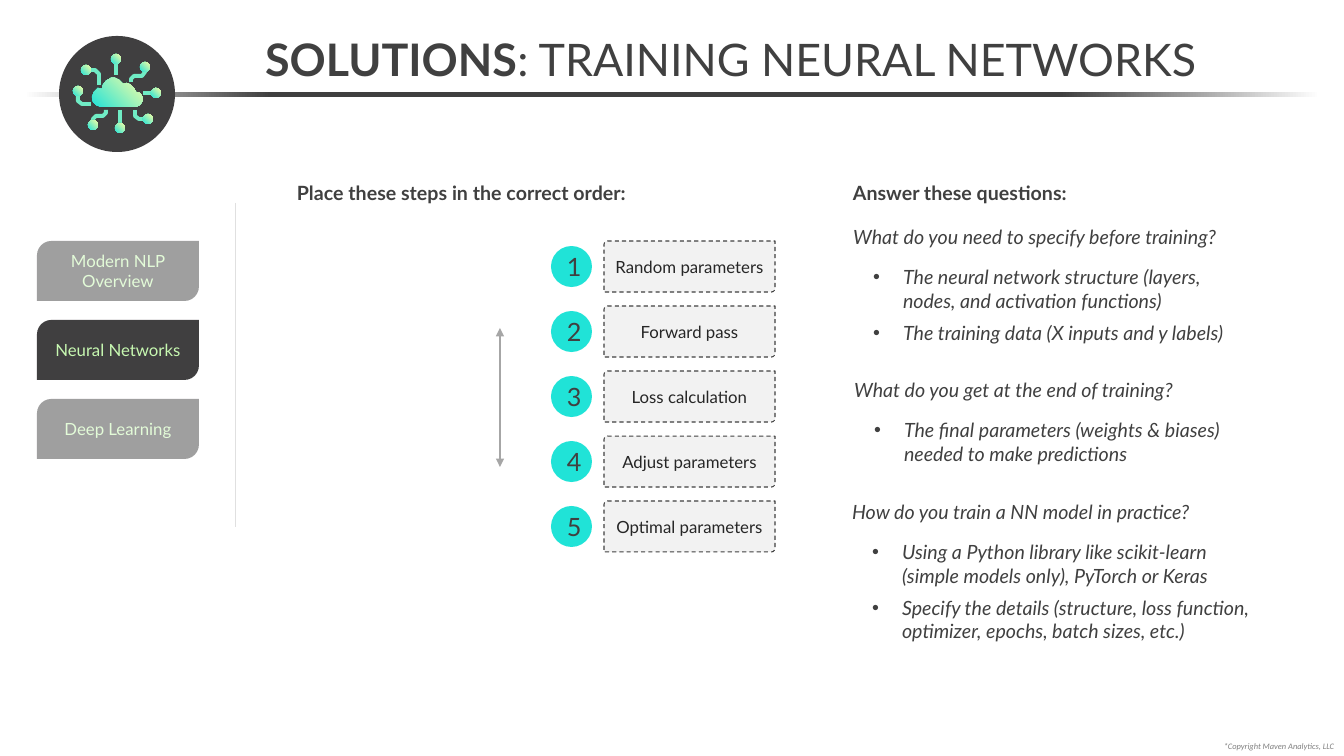
from dataclasses import dataclass

from lxml import etree
from pptx import Presentation
from pptx import util as u
from pptx.dml import color
from pptx.enum import dml, shapes, text
from pptx.oxml import ns

SCALE = 914400 / 100.8


def px(length):
    return u.Emu(round(length * SCALE))


def rgb(value):
    return color.RGBColor.from_string(value)


def assign(target, values):
    for name, value in values.items():
        setattr(target, name, value)


def add_element(parent, tag, **attributes):
    return etree.SubElement(parent, ns.qn(tag), attributes)


@dataclass(frozen=True)
class Theme:
    font: str = "Lato"
    small_font: str = "Calibri"
    ink: str = "404040"
    label: str = "262626"
    dark: str = "403F40"
    muted: str = "7F7F7F"
    panel: str = "F2F2F2"
    accent: str = "20E3D7"
    icon_line: str = "70ECC5"
    arrow: str = "A6A6A6"
    divider: str = "E0E0E0"
    white: str = "FFFFFF"
    bar: tuple = ((0, "FFFFFF"), (19, "3F3F3F"), (50, "3F3F3F"), (80, "3F3F3F"), (100, "FFFFFF"))
    icon: tuple = ((0, "22E2D8"), (75, "C2F7B2"), (100, "F4FEA6"))
    glow: tuple = ((0, "20E2D7"), (75, "C7F8B1"), (100, "F9FEA5"))
    title_size: int = 32
    number_size: int = 18
    body_size: int = 14
    label_size: int = 12
    small_size: int = 6


class SlideBuilder:
    def __init__(self, slide, theme):
        self.slide = slide
        self.theme = theme

    def paint(self, fill, element, paint, angle=0):
        if paint is None:
            fill.background()
        elif isinstance(paint, str):
            fill.solid()
            fill.fore_color.rgb = rgb(paint)
        else:
            fill.gradient()
            fill.gradient_angle = angle
            stops = element.xpath(".//a:gsLst")[0]
            for stop in list(stops):
                stops.remove(stop)
            for position, value in paint:
                stop = add_element(stops, "a:gs", pos=str(position * 1000))
                add_element(stop, "a:srgbClr", val=value)

    def style(self, shape, fill, angle=0, line=None, width=0.75, dash=None):
        shape.shadow.inherit = False
        self.paint(shape.fill, shape._element, fill, angle)
        if line:
            shape.line.color.rgb = rgb(line)
            assign(shape.line, {"width": u.Pt(width), "dash_style": dash})
        else:
            shape.line.fill.background()
        return shape

    def shape(self, kind, box, fill, corner=None, **format_values):
        shape = self.slide.shapes.add_shape(kind, *map(px, box))
        if corner is not None:
            shape.adjustments[0] = corner
        return self.style(shape, fill, **format_values)

    def outline(self, points, closed, fill, **format_values):
        builder = self.slide.shapes.build_freeform(*points[0], scale=SCALE)
        builder.add_line_segments(points[1:], close=closed)
        return self.style(builder.convert_to_shape(), fill, **format_values)

    def line(self, start, end, line_color, width, arrows=False):
        connector = self.slide.shapes.add_connector(
            shapes.MSO_CONNECTOR.STRAIGHT, *map(px, start + end))
        connector.line.color.rgb = rgb(line_color)
        connector.line.width = u.Pt(width)
        properties = connector._element.spPr
        if arrows:
            for tag in ("a:headEnd", "a:tailEnd"):
                add_element(properties.find(ns.qn("a:ln")), tag, type="triangle")
        add_element(properties, "a:effectLst")

    def frame(self, shape, anchor=text.MSO_ANCHOR.TOP):
        assign(shape.text_frame, {
            "word_wrap": True, "auto_size": text.MSO_AUTO_SIZE.NONE, "vertical_anchor": anchor,
            "margin_left": u.Inches(0.1), "margin_right": u.Inches(0.1),
            "margin_top": u.Inches(0.05), "margin_bottom": u.Inches(0.05)})
        return shape.text_frame

    def add_words(self, paragraph, words, size, fill, align=text.PP_ALIGN.LEFT, after=0,
                  **font_values):
        assign(paragraph, {"alignment": align, "space_before": u.Pt(0),
                           "space_after": u.Pt(after), "line_spacing": 1.0})
        run = paragraph.add_run()
        run.text = words
        values = {"name": self.theme.font, "size": u.Pt(size), "bold": False, "italic": False}
        assign(run.font, values | font_values)
        self.paint(run.font.fill, run._r, fill)

    def label(self, shape, words, size, fill):
        frame = self.frame(shape, text.MSO_ANCHOR.MIDDLE)
        self.add_words(frame.paragraphs[0], words, size, fill, text.PP_ALIGN.CENTER)

    def text(self, box, words, size, fill, **format_values):
        frame = self.frame(self.slide.shapes.add_textbox(*map(px, box)))
        self.add_words(frame.paragraphs[0], words, size, fill, **format_values)

    def place(self, index, box):
        shape = self.slide.placeholders[index]
        assign(shape, dict(zip(("left", "top", "width", "height"), map(px, box))))
        return shape

    def title(self, box, strong, rest):
        frame = self.frame(self.place(0, box), text.MSO_ANCHOR.MIDDLE)
        for words, bold in ((strong, True), (rest, False)):
            self.add_words(frame.paragraphs[0], words, self.theme.title_size, self.theme.ink,
                           text.PP_ALIGN.CENTER, bold=bold)

    def answers(self, index, box, question, bullets):
        frame = self.frame(self.place(index, box))
        for position, words in enumerate([question] + bullets):
            paragraph = frame.add_paragraph() if position else frame.paragraphs[0]
            properties = paragraph._p.get_or_add_pPr()
            properties.set("marL", str(px(50) if position else 0))
            properties.set("indent", str(px(-30) if position else 0))
            if position:
                paragraph.level = 1
                add_element(properties, "a:buFont", typeface="Arial")
                add_element(properties, "a:buChar", char="•")
            else:
                add_element(properties, "a:buNone")
            self.add_words(paragraph, words, self.theme.body_size, self.theme.ink,
                           after=6 if position else 12, italic=True)

    def network_icon(self, cloud, branches):
        for branch in branches:
            self.outline(branch, False, None, line=self.theme.icon_line, width=2.8)
            x, y = branch[0]
            self.shape(shapes.MSO_SHAPE.OVAL, (x - 5, y - 5, 10, 10), self.theme.icon, angle=45)
        self.outline(cloud, True, self.theme.icon, angle=45)

    def section(self, top, words):
        shape = self.shape(shapes.MSO_SHAPE.ROUND_2_DIAG_RECTANGLE, (37, top, 162, 60),
                           self.theme.dark, corner=0.24)
        self.label(shape, words, self.theme.label_size, self.theme.glow)

    def step(self, top, number, words):
        box = self.shape(shapes.MSO_SHAPE.ROUND_2_DIAG_RECTANGLE, (604, top, 171, 51),
                         self.theme.panel, corner=0.07, line=self.theme.ink,
                         dash=dml.MSO_LINE.DASH)
        self.label(box, words, self.theme.label_size, self.theme.label)
        circle = self.shape(shapes.MSO_SHAPE.OVAL, (551, top + 5, 41, 41), self.theme.accent)
        self.label(circle, str(number), self.theme.number_size, self.theme.ink)


CLOUD = [(136, 92), (134, 88), (131, 85), (127, 83), (123, 84), (119, 80), (115, 78), (111, 78),
         (106, 81), (103, 85), (102, 89), (98, 88), (94, 92), (92, 97), (93, 102), (96, 105),
         (101, 107), (136, 107), (140, 105), (143, 100), (142, 96), (140, 93)]
BRANCHES = [
    [(86, 70), (95, 70), (99, 74), (99, 85)],
    [(78, 91), (78, 101), (82, 104), (91, 104)],
    [(116, 59), (116, 75)],
    [(145, 67), (145, 72), (142, 76), (134, 76), (131, 79), (131, 82)],
    [(93, 125), (93, 119), (96, 116), (103, 116), (106, 113), (106, 110)],
    [(156, 93), (143, 93)],
    [(148, 119), (139, 119), (135, 116), (135, 110)],
    [(120, 128), (120, 110)],
]
STEPS = ["Random parameters", "Forward pass", "Loss calculation", "Adjust parameters",
         "Optimal parameters"]
SECTIONS = ["Modern NLP Overview", "Neural Networks", "Deep Learning"]
ACTIVE = 1
ANSWERS = [
    ((843, 220, 424, 131), "What do you need to specify before training?",
     ["The neural network structure (layers, nodes, and activation functions)",
      "The training data (X inputs and y labels)"]),
    ((844, 373, 424, 99), "What do you get at the end of training?",
     ["The final parameters (weights & biases) needed to make predictions"]),
    ((842, 495, 424, 154), "How do you train a NN model in practice?",
     ["Using a Python library like scikit-learn (simple models only), PyTorch or Keras",
      "Specify the details (structure, loss function, optimizer, epochs, batch sizes, etc.)"]),
]


def main():
    presentation = Presentation()
    assign(presentation, {"slide_width": px(1344), "slide_height": px(756)})
    slide = presentation.slides.add_slide(presentation.slide_layouts[4])
    theme = Theme()
    builder = SlideBuilder(slide, theme)
    builder.title((118, 26, 1226, 65), "SOLUTIONS", ": TRAINING NEURAL NETWORKS")
    builder.shape(shapes.MSO_SHAPE.RECTANGLE, (24, 92, 1296, 5), theme.bar)
    builder.text((1203, 736, 141, 20), "*Copyright Maven Analytics, LLC", theme.small_size,
                 theme.muted, align=text.PP_ALIGN.RIGHT, name=theme.small_font, italic=True)
    builder.shape(shapes.MSO_SHAPE.OVAL, (59, 36, 116, 116), theme.dark)
    builder.network_icon(CLOUD, BRANCHES)
    for left, width, words in ((287, 549, "Place these steps in the correct order:"),
                               (843, 360, "Answer these questions:")):
        builder.text((left, 176, width, 34), words, theme.body_size, theme.ink, bold=True)
    for index, step in enumerate(STEPS):
        builder.step(241 + 65 * index, index + 1, step)
    builder.line((500, 328), (500, 467), theme.arrow, 1, arrows=True)
    for index, (box, question, bullets) in enumerate(ANSWERS, 1):
        builder.answers(index, box, question, bullets)
    unused = slide.placeholders[4]._element
    unused.getparent().remove(unused)
    builder.line((236, 203), (236, 527), theme.divider, 0.75)
    for index, section in enumerate(SECTIONS):
        if index != ACTIVE:
            builder.section(241 + 79 * index, section)
    veil = builder.shape(shapes.MSO_SHAPE.RECTANGLE, (29, 235, 181, 231), theme.white)
    add_element(veil._element.spPr.xpath("./a:solidFill/a:srgbClr")[0], "a:alpha", val="50000")
    builder.section(241 + 79 * ACTIVE, SECTIONS[ACTIVE])
    presentation.save("out.pptx")


if __name__ == "__main__":
    main()
